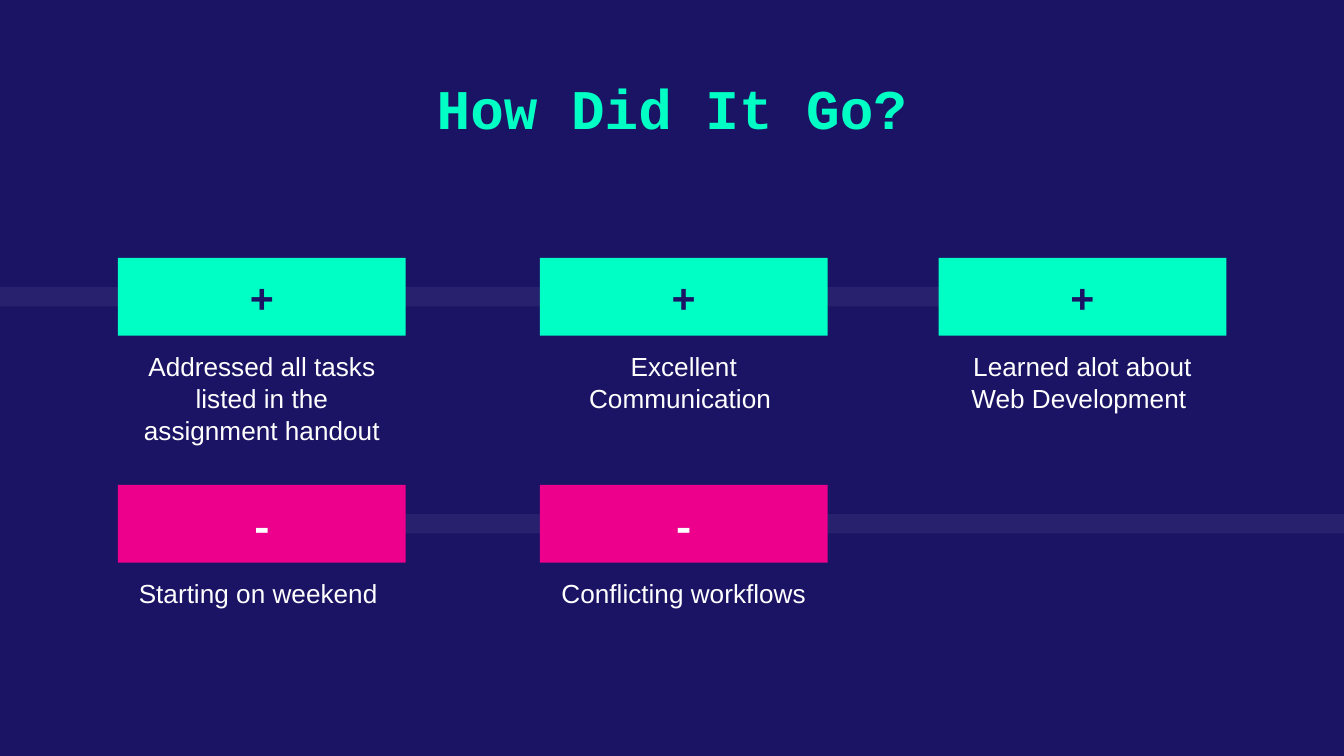
import pptx
import pptx.util
import pptx.dml.color
import pptx.enum.shapes
import pptx.enum.text
import pptx.oxml
import pptx.oxml.ns

Pt = pptx.util.Pt
ANCHOR = pptx.enum.text.MSO_ANCHOR
RECT = pptx.enum.shapes.MSO_SHAPE.RECTANGLE

NAVY, MINT, PINK, WHITE = "1B1464", "00FFC5", "EC008C", "FFFFFF"
MONO, SANS = "Courier New", "Arial"
WIDE, HIGH = 720, 405
CARD_W, CARD_H = 154.2, 41.7
COLS = (63.2, 289.2, 502.8)
ROWS = (138.1, 259.8)
BAND_H = 10.3
GOOD = ("Addressed all tasks listed in the assignment handout",
        "Excellent Communication ",
        "Learned alot about Web Development ")
BAD = ("Starting on weekend ", "Conflicting workflows")


def paint(fill, color):
    fill.solid()
    fill.fore_color.rgb = pptx.dml.color.RGBColor.from_string(color)


def write(shape, text, size, font, color, bold=False, anchor=ANCHOR.TOP, space=1.0):
    frame = shape.text_frame
    frame.word_wrap = True
    frame.vertical_anchor = anchor
    frame.margin_left = frame.margin_right = Pt(7.2)
    frame.margin_top = frame.margin_bottom = Pt(7.2)
    para = frame.paragraphs[0]
    para.alignment = pptx.enum.text.PP_ALIGN.CENTER
    para.line_spacing = space
    run = para.add_run()
    run.text = text
    run.font.size = Pt(size)
    run.font.name = font
    run.font.bold = bold
    paint(run.font.fill, color)


def add_text(slide, box, text, **look):
    write(slide.shapes.add_textbox(*map(Pt, box)), text, **look)


def add_block(slide, box, color):
    block = slide.shapes.add_shape(RECT, *map(Pt, box))
    block.shadow.inherit = False
    block.line.fill.background()
    paint(block.fill, color)
    return block


def add_band(slide, left, right, row):
    """Draw the faint strip that runs behind the cards of a row."""
    top = row + (CARD_H - BAND_H) / 2
    band = add_block(slide, (left, top, right - left, BAND_H), WHITE)
    tint = band.fill._xPr.find(".//" + pptx.oxml.ns.qn("a:srgbClr"))
    alpha = pptx.oxml.parse_xml(
        f'<a:alpha {pptx.oxml.ns.nsdecls("a")} val="6000"/>')
    tint.append(alpha)


def add_card(slide, left, top, sign, note, fill, ink):
    card = add_block(slide, (left, top, CARD_W, CARD_H), fill)
    write(card, sign, size=22, font=MONO, color=ink, bold=True,
          anchor=ANCHOR.BOTTOM)
    inset = 2.5
    box = (left + inset, top + CARD_H, CARD_W - 2 * inset, 52.6)
    add_text(slide, box, note, size=14, font=SANS, color=WHITE, space=1.03)


def add_row(slide, top, notes, **look):
    for left, note in zip(COLS, notes):
        add_card(slide, left, top, note=note, **look)


def main():
    deck = pptx.Presentation()
    deck.slide_width, deck.slide_height = Pt(WIDE), Pt(HIGH)
    slide = deck.slides.add_slide(deck.slide_layouts[6])
    paint(slide.background.fill, NAVY)

    add_band(slide, 0, 613.4, ROWS[0])
    add_band(slide, 73.4, WIDE, ROWS[1])
    add_text(slide, (100.8, 26.6, 518.4, 52.6), "How Did It Go?",
             size=30, font=MONO, color=MINT, bold=True, space=1.15)
    add_row(slide, ROWS[0], GOOD, sign="+", fill=MINT, ink=NAVY)
    add_row(slide, ROWS[1], BAD, sign="-", fill=PINK, ink=WHITE)
    deck.save("out.pptx")


if __name__ == "__main__":
    main()
